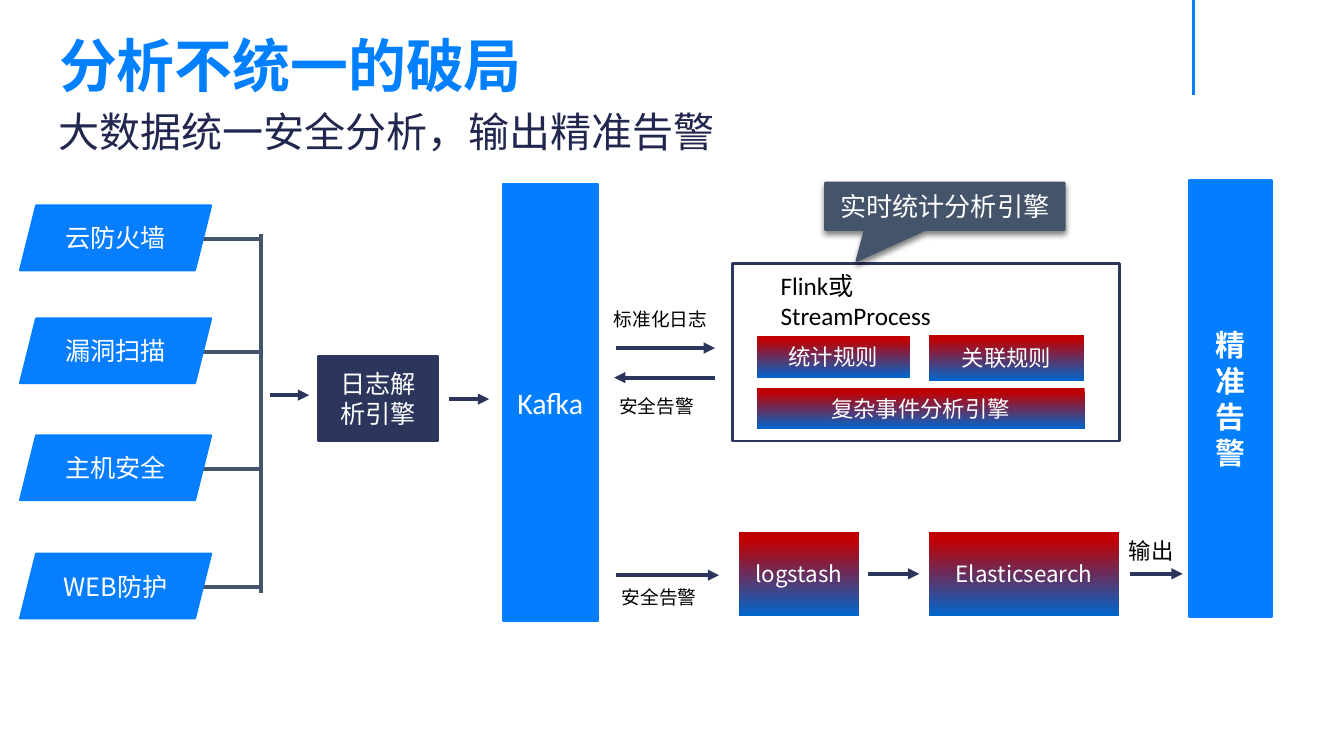
import pptx
import pptx.util
import lxml.etree
from pptx.dml.color import RGBColor
from pptx.enum.shapes import MSO_CONNECTOR, MSO_SHAPE
from pptx.enum.text import MSO_ANCHOR, MSO_AUTO_SIZE, PP_ALIGN
from pptx.oxml.ns import qn
from pptx.util import Inches

CJK_FONT = "Noto Sans CJK SC"
LATIN_FONT = "Calibri"
THIN = 1.25

WHITE = RGBColor(0xFF, 0xFF, 0xFF)
BLACK = RGBColor(0x00, 0x00, 0x00)
TITLE_BLUE = RGBColor(0x00, 0x80, 0xFF)
SUBTITLE_NAVY = RGBColor(0x22, 0x27, 0x4F)
BLUE = RGBColor(0x02, 0x7E, 0xFF)
SOFT_BLUE = RGBColor(0x06, 0x7E, 0xFF)
NAVY = RGBColor(0x2C, 0x35, 0x5C)
SLATE = RGBColor(0x44, 0x54, 0x6A)
RED = RGBColor(0xC0, 0x00, 0x00)
DEEP_BLUE = RGBColor(0x00, 0x66, 0xCC)


def write_text(shape, text, size=12, color=WHITE, font=CJK_FONT, bold=False,
               align=PP_ALIGN.CENTER, anchor=MSO_ANCHOR.MIDDLE, wrap=True):
    frame = shape.text_frame
    frame.auto_size = MSO_AUTO_SIZE.NONE
    frame.word_wrap = wrap
    frame.vertical_anchor = anchor
    para = frame.paragraphs[0]
    para.text = text
    para.alignment = align
    for span in para.runs:
        span.font.size = pptx.util.Pt(size)
        span.font.bold = bold
        span.font.name = font
        span.font.color.rgb = color
        east_asian = lxml.etree.SubElement(span.font._element, qn("a:ea"))
        east_asian.set("typeface", CJK_FONT)


def add_label(page, left, top, width, height, text, **text_format):
    box = page.shapes.add_textbox(Inches(left), Inches(top), Inches(width), Inches(height))
    write_text(box, text, **{"align": PP_ALIGN.LEFT, "anchor": MSO_ANCHOR.TOP,
                             "color": BLACK, **text_format})


def add_box(page, left, top, width, height, text="", kind=MSO_SHAPE.RECTANGLE,
            fill=BLUE, line=None, **text_format):
    box = page.shapes.add_shape(kind, Inches(left), Inches(top), Inches(width), Inches(height))
    box.shadow.inherit = False
    box.fill.solid()
    box.fill.fore_color.rgb = fill
    box.line.color.rgb = line or fill
    box.line.width = pptx.util.Pt(THIN)
    if text:
        write_text(box, text, **text_format)
    return box


def add_gradient_box(page, left, top, width, height, text):
    box = add_box(page, left, top, width, height, text)
    box.line.fill.background()
    box.fill.gradient()
    box.fill.gradient_angle = 270
    stops = box.fill.gradient_stops
    for stop, position, color in zip(stops, (0.09, 1), (RED, DEEP_BLUE)):
        stop.position = position
        stop.color.rgb = color


def add_line(page, x1, y1, x2, y2, color=SLATE, width=2, arrow=False):
    line = page.shapes.add_connector(MSO_CONNECTOR.STRAIGHT, Inches(x1), Inches(y1),
                                     Inches(x2), Inches(y2))
    line.line.color.rgb = color
    line.line.width = pptx.util.Pt(width)
    if arrow:
        outline = line.line._get_or_add_ln()
        lxml.etree.SubElement(outline, qn("a:tailEnd")).set("type", "triangle")
    lxml.etree.SubElement(line._element.spPr, qn("a:effectLst"))


def add_callout(page, left, top, width, height, text):
    callout = add_box(page, left, top, width, height, text, size=14, fill=SLATE,
                      kind=MSO_SHAPE.RECTANGULAR_CALLOUT)
    callout.adjustments[0] = -0.368
    callout.adjustments[1] = 1.158
    frame = callout.text_frame
    frame.margin_left = frame.margin_right = Inches(0.06)
    frame.margin_top = frame.margin_bottom = Inches(0.06)
    # Soft shadow straight below
    effects = callout._element.spPr.find(qn("a:effectLst"))
    shadow = lxml.etree.SubElement(effects, qn("a:outerShdw"), blurRad=str(pptx.util.Pt(3)),
                                   dist=str(pptx.util.Pt(2)), dir="5400000", rotWithShape="0")
    shade = lxml.etree.SubElement(shadow, qn("a:srgbClr"), val="000000")
    lxml.etree.SubElement(shade, qn("a:alpha"), val="50000")


def add_headings(page):
    add_line(page, 8.88, 0, 8.88, 0.71, color=TITLE_BLUE, width=THIN)
    title = page.shapes.title
    title.left, title.top = Inches(0.34), Inches(0.17)
    title.width, title.height = Inches(3.79), Inches(0.62)
    write_text(title, "分析不统一的破局", size=31, color=TITLE_BLUE, bold=True,
               align=PP_ALIGN.LEFT, anchor=MSO_ANCHOR.TOP)
    add_label(page, 0.34, 0.74, 5.2, 0.47, "大数据统一安全分析，输出精准告警",
              size=22, color=SUBTITLE_NAVY)


def add_sources(page):
    sources = [("云防火墙", 1.53), ("漏洞扫描", 2.37), ("主机安全", 3.24), ("WEB防护", 4.12)]
    for name, top in sources:
        add_line(page, 1.48, top + 0.25, 1.93, top + 0.25)
        add_box(page, 0.15, top, 1.42, 0.48, name, kind=MSO_SHAPE.PARALLELOGRAM,
                fill=SOFT_BLUE, line=BLUE, size=13.5)
    add_line(page, 1.94, 1.74, 1.94, 4.41)


def add_stages(page):
    add_box(page, 2.37, 2.65, 0.89, 0.63, "日志解析引擎", fill=NAVY, size=13.5, font=LATIN_FONT)
    add_box(page, 3.74, 1.37, 0.71, 3.25, "Kafka", line=SOFT_BLUE, size=16, font=LATIN_FONT)
    add_box(page, 8.85, 1.34, 0.61, 3.25, "精准告警", line=SOFT_BLUE, size=16, bold=True)
    # Real-time engine
    add_box(page, 5.45, 1.96, 2.88, 1.32, fill=WHITE, line=NAVY)
    add_label(page, 5.71, 1.96, 1.85, 0.33, "Flink或StreamProcess",
              size=13.5, font=LATIN_FONT)
    add_callout(page, 6.14, 1.36, 1.78, 0.35, "实时统计分析引擎")
    # Rules and log storage
    for left, top, width, height, text in [
        (5.63, 2.5, 1.14, 0.31, "统计规则"),
        (6.91, 2.49, 1.16, 0.34, "关联规则"),
        (5.63, 2.89, 2.44, 0.3, "复杂事件分析引擎"),
        (5.5, 3.96, 0.89, 0.62, "logstash"),
        (6.91, 3.96, 1.42, 0.62, "Elasticsearch"),
    ]:
        add_gradient_box(page, left, top, width, height, text)


def add_flows(page):
    for start, end, y in [(2.01, 2.3, 2.94), (3.34, 3.64, 2.97), (4.58, 5.32, 2.59),
                          (5.32, 4.57, 2.81), (4.58, 5.35, 4.28), (6.46, 6.84, 4.27),
                          (8.41, 8.8, 4.27)]:
        add_line(page, start, y, end, y, color=NAVY, arrow=True)
    for left, top, width, height, text, size in [(4.47, 2.24, 0.9, 0.27, "标准化日志", 10),
                                                 (4.51, 2.89, 0.76, 0.27, "安全告警", 10),
                                                 (4.53, 4.31, 0.76, 0.27, "安全告警", 10),
                                                 (8.3, 3.95, 0.54, 0.3, "输出", 12)]:
        add_label(page, left, top, width, height, text, size=size, wrap=False)


def main():
    deck = pptx.Presentation()
    deck.slide_width = Inches(10)
    deck.slide_height = Inches(10 * 9 / 16)
    page = deck.slides.add_slide(deck.slide_layouts[5])
    add_headings(page)
    add_sources(page)
    add_stages(page)
    add_flows(page)
    deck.save("out.pptx")


if __name__ == "__main__":
    main()
